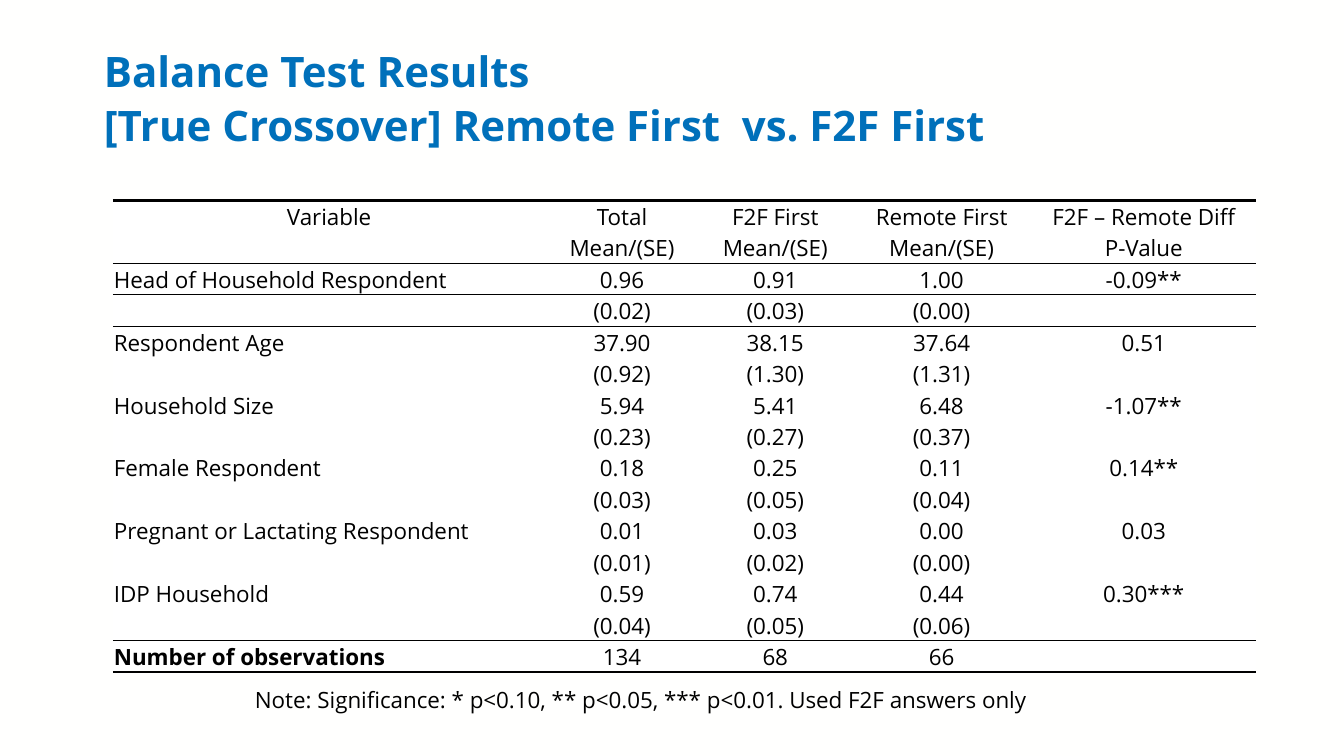
from lxml import etree
from pptx import Presentation
from pptx.dml.color import RGBColor
from pptx.enum.text import MSO_ANCHOR, PP_ALIGN
from pptx.oxml.ns import qn
from pptx.util import Inches, Pt

LEFT, CENTER = PP_ALIGN.LEFT, PP_ALIGN.CENTER
MIDDLE = MSO_ANCHOR.MIDDLE
TITLE_ONLY = 5
NO_STYLE = "{2D5ABB26-0587-4C30-8999-92F81FD0307C}"
COLORS = {"background": "FFFFFE", "title": "0070BA", "ink": "000000", "cell": "FFFFFF"}


def write(paragraph, text, size=16, color="ink", bold=False, align=LEFT):
    paragraph.alignment = align
    if not text:
        # An empty cell still needs the small size to keep its row low
        paragraph._p.get_or_add_endParaRPr().set("sz", str(size * 100))
        return
    run = paragraph.add_run()
    run.text = text
    run.font.name = "Open Sans"
    run.font.size = Pt(size)
    run.font.bold = bold
    run.font.color.rgb = RGBColor.from_string(COLORS[color])


def add_border(cell, side, width):
    line = etree.SubElement(cell._tc.get_or_add_tcPr(), qn("a:" + side), w=str(Pt(width)))
    fill = etree.SubElement(line, qn("a:solidFill"))
    etree.SubElement(fill, qn("a:srgbClr"), val=COLORS["ink"])


presentation = Presentation()
presentation.slide_width = Inches(13.33)
presentation.slide_height = Inches(7.5)
slide = presentation.slides.add_slide(presentation.slide_layouts[TITLE_ONLY])
slide.background.fill.solid()
slide.background.fill.fore_color.rgb = RGBColor.from_string(COLORS["background"])

# Title
title = slide.shapes.title
title.left, title.top = Inches(0.93), Inches(0.37)
title.width, title.height = Inches(11.53), Inches(1.26)
title_frame = title.text_frame
title_frame.vertical_anchor = MIDDLE
title_lines = ["Balance Test Results", "[True Crossover] Remote First  vs. F2F First"]
for index, text in enumerate(title_lines):
    paragraph = title_frame.add_paragraph() if index else title_frame.paragraphs[0]
    paragraph.line_spacing = 0.9
    paragraph.space_after = Pt(6)
    write(paragraph, text, size=30, color="title", bold=True)

# Balance table
rows = [
    ("Variable", "Total", "F2F First", "Remote First", "F2F – Remote Diff"),
    ("", "Mean/(SE)", "Mean/(SE)", "Mean/(SE)", "P-Value"),
    ("Head of Household Respondent", "0.96", "0.91", "1.00", "-0.09**"),
    ("", "(0.02)", "(0.03)", "(0.00)", ""),
    ("Respondent Age", "37.90", "38.15", "37.64", "0.51"),
    ("", "(0.92)", "(1.30)", "(1.31)", ""),
    ("Household Size", "5.94", "5.41", "6.48", "-1.07**"),
    ("", "(0.23)", "(0.27)", "(0.37)", ""),
    ("Female Respondent", "0.18", "0.25", "0.11", "0.14**"),
    ("", "(0.03)", "(0.05)", "(0.04)", ""),
    ("Pregnant or Lactating Respondent", "0.01", "0.03", "0.00", "0.03"),
    ("", "(0.01)", "(0.02)", "(0.00)", ""),
    ("IDP Household", "0.59", "0.74", "0.44", "0.30***"),
    ("", "(0.04)", "(0.05)", "(0.06)", ""),
    ("Number of observations", "134", "68", "66", ""),
]
column_widths = [4.29, 1.52, 1.52, 1.78, 2.23]
row_height = 0.31
last_row = len(rows) - 1
top_borders = {0: 2, 2: 1, 3: 1, last_row: 1}
bottom_borders = {1: 1, 2: 1, last_row - 1: 1, last_row: 2}

table = slide.shapes.add_table(
    len(rows), len(column_widths), Inches(1.12), Inches(1.99),
    Inches(sum(column_widths)), Inches(row_height * len(rows))).table
table.first_row = table.horz_banding = False
table._tbl.tblPr.find(qn("a:tableStyleId")).text = NO_STYLE
for column, width in zip(table.columns, column_widths):
    column.width = Inches(width)

for row_index, values in enumerate(rows):
    table.rows[row_index].height = Inches(row_height)
    for column_index, text in enumerate(values):
        cell = table.cell(row_index, column_index)
        cell.margin_left = cell.margin_right = cell.margin_top = Inches(0.01)
        cell.margin_bottom = 0
        cell.vertical_anchor = MIDDLE
        is_label = column_index == 0 and row_index > 0
        write(cell.text_frame.paragraphs[0], text,
              bold=is_label and row_index == last_row,
              align=LEFT if is_label else CENTER)
        if row_index in top_borders:
            add_border(cell, "lnT", top_borders[row_index])
        if row_index in bottom_borders:
            add_border(cell, "lnB", bottom_borders[row_index])
        cell.fill.solid()
        cell.fill.fore_color.rgb = RGBColor.from_string(COLORS["cell"])

# Significance note
note = slide.shapes.add_textbox(Inches(2.43), Inches(6.76), Inches(8), Inches(0.37))
note.text_frame.word_wrap = True
write(note.text_frame.paragraphs[0],
      "Note: Significance: * p<0.10, ** p<0.05, *** p<0.01. Used F2F answers only")

presentation.save("out.pptx")
